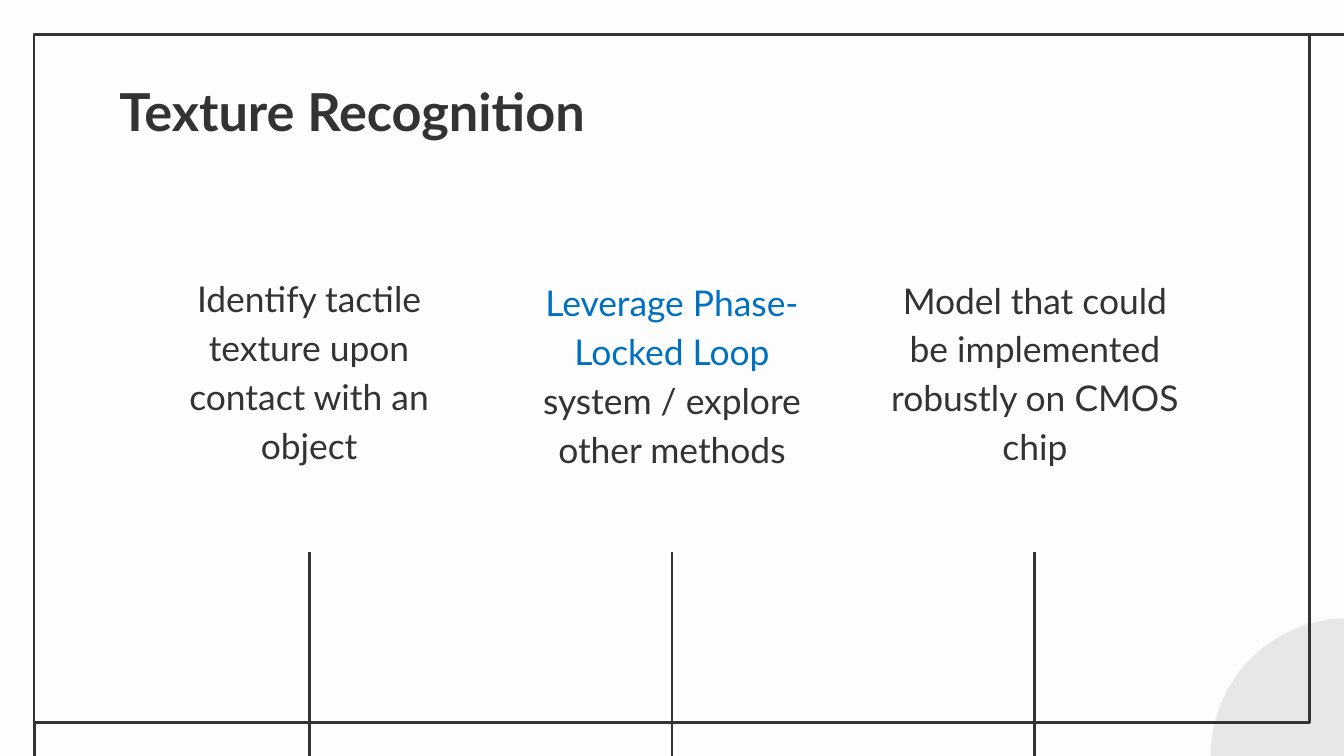
from dataclasses import dataclass

from lxml.etree import SubElement
from pptx import Presentation
from pptx.dml.color import RGBColor
from pptx.enum.shapes import MSO_CONNECTOR, MSO_SHAPE
from pptx.enum.text import MSO_ANCHOR as Anchor, PP_ALIGN as Align
from pptx.oxml.ns import qn
from pptx.slide import Slide
from pptx.util import Pt

PAPER = RGBColor(0xFD, 0xFD, 0xFD)
INK = RGBColor(0x33, 0x33, 0x33)
BLUE = RGBColor(0x00, 0x70, 0xC0)
GREY = RGBColor(0xE8, 0xE7, 0xE7)

FONT = "Lato"
LINE_WIDTH = 1.5
INSET = 7.2
COLUMN_WIDTH = 176.4
COLUMN_CENTERS = (165.6, 360, 554.4)
STEM_TOP, STEM_BOTTOM = 295.9, 409.5


@dataclass(frozen=True)
class Box:
    left: float
    top: float
    width: float
    height: float

    def lengths(self) -> tuple:
        return Pt(self.left), Pt(self.top), Pt(self.width), Pt(self.height)


@dataclass(frozen=True)
class Span:
    text: str
    color: RGBColor = INK


@dataclass(frozen=True)
class Column:
    top: float
    height: float
    spans: tuple[Span, ...]


COLUMNS = (
    Column(168.5, 88.5, (Span("Identify tactile texture upon contact with an object"),)),
    Column(145.4, 113.8, (Span("Leverage Phase-Locked Loop ", BLUE),
                          Span("system / explore other methods"))),
    Column(144, 113.8, (Span("Model that could be implemented robustly on CMOS chip"),)),
)


def apply_format(target: object, values: dict) -> None:
    for name, value in values.items():
        setattr(target, name, value)


def add_shape(slide: Slide, kind: MSO_SHAPE, box: Box,
              fill: RGBColor | None = None, line: RGBColor | None = None) -> None:
    shape = slide.shapes.add_shape(kind, *box.lengths())
    shape.shadow.inherit = False
    if fill is None:
        shape.fill.background()
    else:
        shape.fill.solid()
        shape.fill.fore_color.rgb = fill
    if line is None:
        shape.line.fill.background()
    else:
        shape.line.color.rgb = line
        shape.line.width = Pt(LINE_WIDTH)


def add_line(slide: Slide, x1: float, y1: float, x2: float, y2: float) -> None:
    connector = slide.shapes.add_connector(
        MSO_CONNECTOR.STRAIGHT, Pt(x1), Pt(y1), Pt(x2), Pt(y2))
    connector.line.color.rgb = INK
    connector.line.width = Pt(LINE_WIDTH)
    SubElement(connector._element.spPr, qn("a:effectLst"))


def add_text(slide: Slide, box: Box, spans: tuple[Span, ...], anchor: Anchor,
             paragraph_format: dict, font_format: dict) -> None:
    frame = slide.shapes.add_textbox(*box.lengths()).text_frame
    margins = {f"margin_{side}": Pt(INSET) for side in ("left", "top", "right", "bottom")}
    apply_format(frame, {"word_wrap": True, "vertical_anchor": anchor, **margins})
    paragraph = frame.paragraphs[0]
    apply_format(paragraph, paragraph_format)
    for span in spans:
        run = paragraph.add_run()
        run.text = span.text
        apply_format(run.font, {"name": FONT, **font_format})
        run.font.color.rgb = span.color


def draw_frame(slide: Slide) -> None:
    """Draw the corner disc, the border and the border's two stubs to the slide edge."""
    add_shape(slide, MSO_SHAPE.OVAL, Box(648.7, 331.2, 146.9, 146.9), fill=GREY)
    add_shape(slide, MSO_SHAPE.RECTANGLE, Box(18.2, 18.3, 683.3, 368.7), line=INK)
    add_line(slide, 725.8, 18.3, 701.5, 18.3)
    add_line(slide, 18.5, 387, 18.5, 411.8)


def main() -> None:
    presentation = Presentation()
    apply_format(presentation, {"slide_width": Pt(720), "slide_height": Pt(405)})
    slide = presentation.slides.add_slide(presentation.slide_layouts[6])
    slide.background.fill.solid()
    slide.background.fill.fore_color.rgb = PAPER

    draw_frame(slide)
    add_text(slide, Box(56.9, 35.3, 607, 45.4), (Span("Texture Recognition"),), Anchor.TOP,
             {"alignment": Align.LEFT}, {"size": Pt(28), "bold": True})
    for center, column in zip(COLUMN_CENTERS, COLUMNS):
        box = Box(center - COLUMN_WIDTH / 2, column.top, COLUMN_WIDTH, column.height)
        add_text(slide, box, column.spans, Anchor.BOTTOM,
                 {"alignment": Align.CENTER, "line_spacing": 1.15}, {"size": Pt(19)})
        add_line(slide, center, STEM_TOP, center, STEM_BOTTOM)

    presentation.save("out.pptx")


if __name__ == "__main__":
    main()
